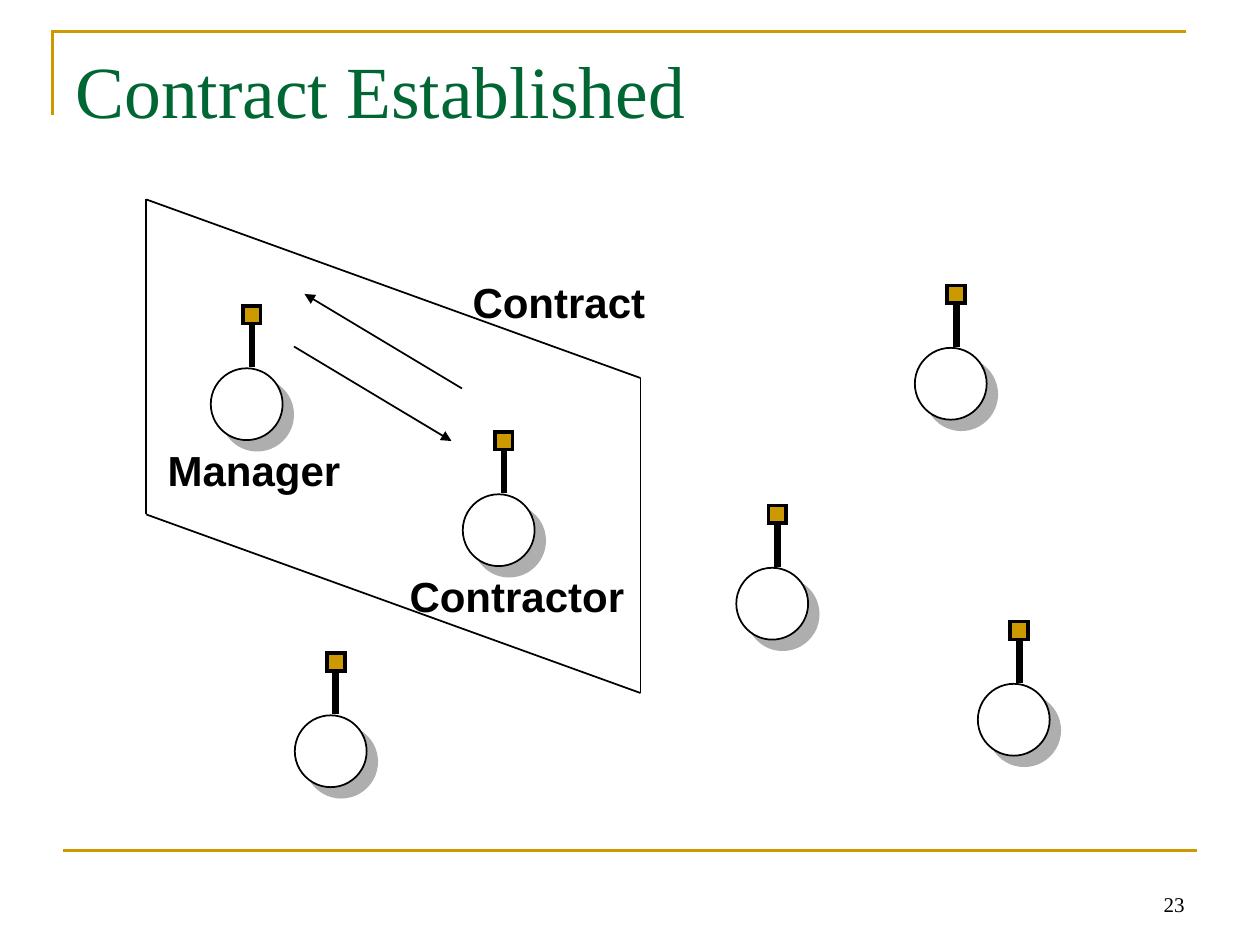
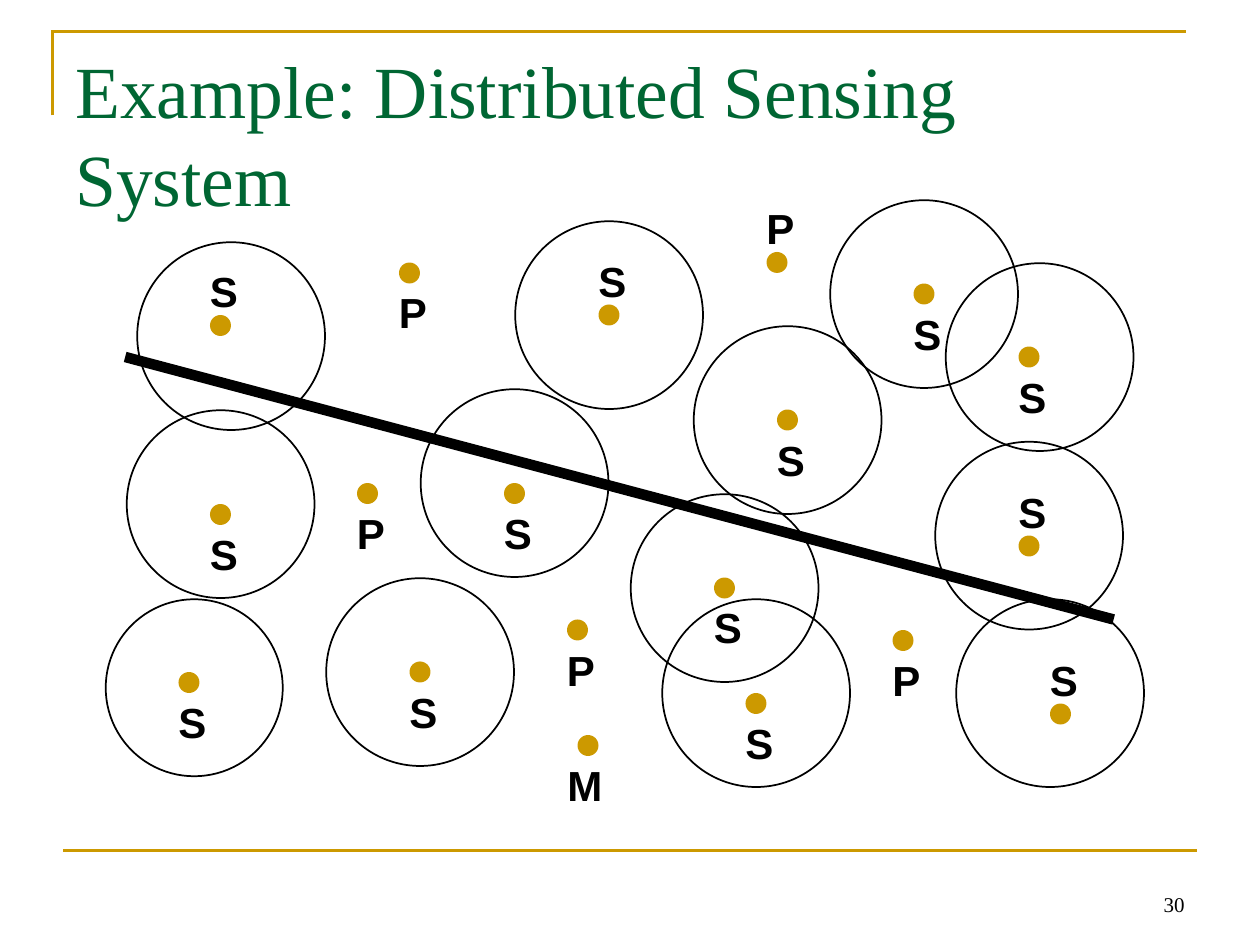
"""Build two slides on contract negotiation between agents and distributed sensing."""
from dataclasses import dataclass

import lxml.etree
import pptx
import pptx.dml.color
import pptx.enum.shapes
import pptx.enum.text
import pptx.oxml.ns
import pptx.util

SHAPE = pptx.enum.shapes.MSO_SHAPE
ALIGN = pptx.enum.text.PP_ALIGN
ANCHOR = pptx.enum.text.MSO_ANCHOR
AUTO_SIZE = pptx.enum.text.MSO_AUTO_SIZE
COLUMNS, ROWS = 120, 90
BOTTOM = 2


@dataclass(frozen=True)
class Theme:
    """Colours, fonts, type sizes and line widths."""
    gold: str = "CC9900"
    green: str = "006633"
    black: str = "000000"
    white: str = "FFFFFF"
    shadow: str = "5F5F5F"
    serif: str = "Times New Roman"
    sans: str = "Arial"
    title_size: int = 42
    label_size: int = 24
    number_size: int = 12
    thin: float = 1
    rule: float = 1.5
    border: float = 2
    stem: float = 4
    track: float = 6


class Deck:
    """Draw styled elements on the current slide, placed in grid columns and rows."""

    def __init__(self, presentation, theme):
        """Keep the presentation and its theme."""
        self.presentation = presentation
        self.theme = theme
        self.slide = None

    def place(self, column, row):
        """Turn a column and a row into slide lengths."""
        return (round(self.presentation.slide_width * column / COLUMNS),
                round(self.presentation.slide_height * row / ROWS))

    def color(self, value):
        """Return a colour object."""
        return pptx.dml.color.RGBColor.from_string(value)

    def stroke(self, shape, color, width):
        """Set a sharp-cornered line, or remove it when no width is given."""
        if width is None:
            shape.line.fill.background()
            return
        shape.line.color.rgb = self.color(color)
        shape.line.width = pptx.util.Pt(width)
        lxml.etree.SubElement(shape.line._get_or_add_ln(), pptx.oxml.ns.qn("a:miter"), lim="800000")

    def start(self, title, number):
        """Add a slide with its frame, title and number."""
        theme = self.theme
        self.slide = self.presentation.slides.add_slide(self.presentation.slide_layouts[6])
        builder = self.slide.shapes.build_freeform(*self.place(5, 11))
        builder.add_line_segments([self.place(5, 3), self.place(113, 3)], close=False)
        frame = builder.convert_to_shape()
        frame.fill.background()
        frame.shadow.inherit = False
        self.stroke(frame, theme.gold, theme.rule)
        self.line((6, 81), (114, 81), theme.rule, theme.gold)
        self.text(title, (6, 3.7, 108, 15), theme.serif, theme.title_size, theme.green)
        box = self.text(number, (86, 81.9, 28, 6), theme.serif, theme.number_size, theme.black)
        box.text_frame.vertical_anchor = ANCHOR.BOTTOM
        box.text_frame.paragraphs[0].alignment = ALIGN.RIGHT

    def text(self, words, area, font, size, color):
        """Add a wrapping text box with one run."""
        box = self.slide.shapes.add_textbox(*self.place(*area[:2]), *self.place(*area[2:]))
        box.text_frame.word_wrap = True
        run = box.text_frame.paragraphs[0].add_run()
        run.text = words
        run.font.name = font
        run.font.size = pptx.util.Pt(size)
        run.font.color.rgb = self.color(color)
        return box

    def label(self, words, column, row, width=4.32):
        """Add a bold label that fits its words."""
        theme = self.theme
        box = self.text(words, (column, row, width, 4.8), theme.sans, theme.label_size, theme.black)
        frame = box.text_frame
        frame.word_wrap = False
        frame.auto_size = AUTO_SIZE.SHAPE_TO_FIT_TEXT
        frame.margin_left = frame.margin_right = pptx.util.Inches(0.07)
        frame.margin_top = frame.margin_bottom = pptx.util.Inches(0.03)
        paragraph = frame.paragraphs[0]
        paragraph.line_spacing = 0.87
        paragraph.runs[0].font.bold = True

    def line(self, start, end, width, color=None, arrow=False):
        """Add a straight line, with an arrowhead at its end on request."""
        connector = self.slide.shapes.add_connector(
            pptx.enum.shapes.MSO_CONNECTOR.STRAIGHT, *self.place(*start), *self.place(*end))
        self.stroke(connector, color or self.theme.black, width)
        if arrow:
            lxml.etree.SubElement(connector.line._get_or_add_ln(),
                                  pptx.oxml.ns.qn("a:tailEnd"), type="triangle")
        lxml.etree.SubElement(connector.element.spPr, pptx.oxml.ns.qn("a:effectLst"))
        return connector

    def shape(self, kind, column, row, size, fill=None, width=None):
        """Add a preset shape of equal width and height."""
        shape = self.slide.shapes.add_shape(kind, *self.place(column, row), *self.place(size, size))
        shape.shadow.inherit = False
        if fill:
            shape.fill.solid()
            shape.fill.fore_color.rgb = self.color(fill)
        else:
            shape.fill.background()
        self.stroke(shape, self.theme.black, width)
        return shape

    def agent(self, column, row):
        """Add a shadowed body with an antenna."""
        theme = self.theme
        body = self.shape(SHAPE.OVAL, column + 0.08, row + 0.08, 6.84, theme.white, theme.thin)
        effects = body.element.spPr.find(pptx.oxml.ns.qn("a:effectLst"))
        shadow = lxml.etree.SubElement(effects, pptx.oxml.ns.qn("a:outerShdw"),
                                       dist=str(pptx.util.Pt(8.5)), dir=str(45 * 60000),
                                       algn="ctr", rotWithShape="0")
        tint = lxml.etree.SubElement(shadow, pptx.oxml.ns.qn("a:srgbClr"), val=theme.shadow)
        lxml.etree.SubElement(tint, pptx.oxml.ns.qn("a:alpha"), val="50000")
        tip = self.shape(SHAPE.RECTANGLE, column + 3.16, row - 5.84, 1.68, theme.gold, theme.border)
        stem = self.line((column + 4, row - 4), (column + 4, row), theme.stem)
        stem.begin_connect(tip, BOTTOM)

    def dot(self, column, row):
        """Add a gold position dot."""
        self.shape(SHAPE.OVAL, column, row, 2, self.theme.gold)

    def dot_label(self, words, column, row, above=False, shift=0.84, width=4.32):
        """Name a dot, below it or above it."""
        self.label(words, column - shift, row + (-4.38 if above else 2.64), width)


def contract_slide(deck):
    """Show the contract between a manager and a contractor."""
    thin = deck.theme.thin
    deck.start("Contract Established", "23")
    for column, row in [(20, 35), (44, 47), (87.05, 33.05), (70.05, 54), (28, 68.05), (93.05, 65.05)]:
        deck.agent(column, row)
    for start, end in [((28, 33), (43, 42)), ((44, 37), (29, 28))]:
        deck.line(start, end, thin, arrow=True)
    corners = [(13.94, 19), (61, 36), (61, 66), (13.94, 49)]
    for start, end in zip(corners, corners[1:] + corners[:1]):
        deck.line(start, end, thin)
    deck.label("Manager", 15.12, 42.6, 18.6)
    deck.label("Contractor", 38.16, 54.6, 22.56)
    deck.label("Contract", 44.16, 26.6, 18.6)


def sensing_slide(deck):
    """Show sensors with their ranges, processors, the monitor and a track."""
    theme = deck.theme
    sensors = [
        ((20, 30), (13, 23), True), ((20, 48), (12, 39), False), ((17, 64), (10, 57), False),
        ((48, 46), (40, 37), False), ((39, 63), (31, 55), False), ((57, 29), (49, 21), True),
        ((71, 66), (63, 57), False), ((100, 67), (91, 57), True), ((87, 27), (79, 19), False),
        ((68, 55), (60, 47), False), ((97, 33), (90, 25), False), ((97, 51), (89, 42), True),
        ((74, 39), (66, 31), False),
    ]
    small_range = (10, 57)
    processors = [((38, 25), False), ((73, 24), True), ((54, 59), False),
                  ((34, 46), False), ((85, 60), False)]
    monitor = (55, 70)
    deck.start("Example: Distributed Sensing System", "30")
    for position, _, _ in sensors:
        deck.dot(*position)
    deck.line((11.92, 34), (106.06, 59), theme.track)
    for _, (column, row), _ in sensors:
        size = 16.86 if (column, row) == small_range else 17.88
        deck.shape(SHAPE.OVAL, column + 0.07, row + 0.07, size, width=theme.thin)
    for position, _, above in sensors:
        deck.dot_label("S", *position, above)
    for position, above in processors:
        deck.dot(*position)
        deck.dot_label("P", *position, above)
    deck.dot(*monitor)
    deck.dot_label("M", *monitor, shift=1.8, width=5.04)


def main():
    """Build and save the presentation."""
    presentation = pptx.Presentation()
    presentation.slide_width = pptx.util.Inches(10)
    presentation.slide_height = pptx.util.Inches(7.5)
    deck = Deck(presentation, Theme())
    contract_slide(deck)
    sensing_slide(deck)
    presentation.save("out.pptx")


if __name__ == "__main__":
    main()
